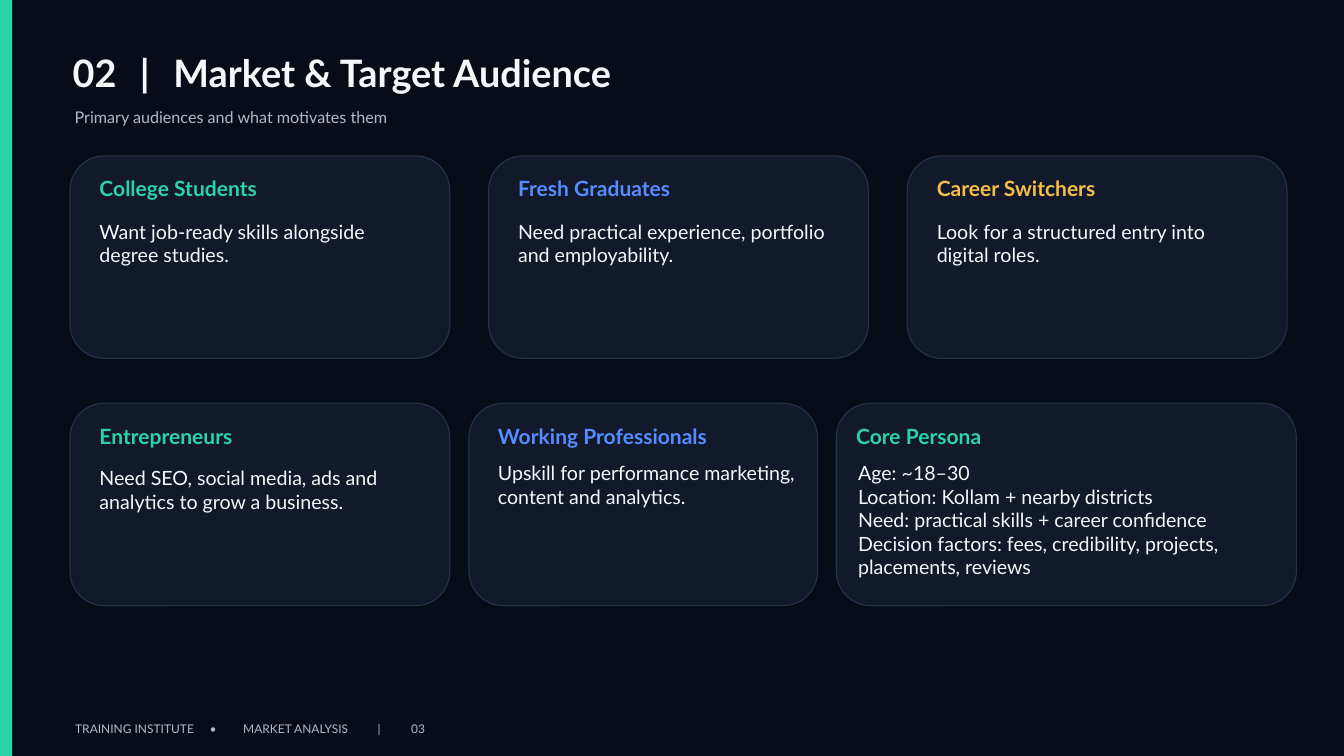
from lxml.etree import SubElement as Sub
from pptx import Presentation as Deck
from pptx.dml.color import RGBColor
from pptx.enum.shapes import MSO_SHAPE as Kind
from pptx.enum.text import MSO_ANCHOR as Anchor, MSO_AUTO_SIZE as Fit, PP_ALIGN as Align
from pptx.oxml.ns import qn
from pptx.util import Pt

DARK, PANEL, EDGE = "080C18", "12192A", "26324C"
GREEN, BLUE, GOLD = "2AD3A8", "558CFF", "F5BE48"
WHITE, GREY = "F5F7FA", "AFB9C8"
HIGH = 217  # card height

# Card: left, top, width, text left, body top, accent, heading, lines
TOP, LOW = 167, 432
CARDS = [
    (75, TOP, 407, 106.6, 235.4, GREEN, "College Students",
     ["Want job-ready skills alongside degree studies."]),
    (523.5, TOP, 407, 555.1, 235.4, BLUE, "Fresh Graduates",
     ["Need practical experience, portfolio and employability."]),
    (972, TOP, 407, 1003.7, 235.4, GOLD, "Career Switchers",
     ["Look for a structured entry into digital roles."]),
    (75, LOW, 407, 106.6, 499.7, GREEN, "Entrepreneurs",
     ["Need SEO, social media, ads and analytics to grow a business."]),
    (502.5, LOW, 373.5, 533.5, 493.9, BLUE, "Working Professionals",
     ["Upskill for performance marketing, content and analytics."]),
]
CORE = ["Age: ~18–30", "Location: Kollam + nearby districts",
        "Need: practical skills + career confidence",
        "Decision factors: fees, credibility, projects, placements, reviews"]


def color(code):
    return RGBColor.from_string(code)


def place(item, left, top, width, height):
    item.left, item.top = Pt(left), Pt(top)
    item.width, item.height = Pt(width), Pt(height)


def write(item, lines, size, tint, bold=False, tabs=()):
    """Fill a text box or placeholder with plain left-aligned lines."""
    frame = item.text_frame
    frame.word_wrap, frame.auto_size = True, Fit.NONE
    frame.vertical_anchor = Anchor.TOP
    frame.margin_left = frame.margin_top = 0
    frame.margin_right = frame.margin_bottom = 0
    frame.text = "\n".join(lines)
    for para in frame.paragraphs:
        para.alignment = Align.LEFT
        para.space_before = para.space_after = Pt(0)
        para.line_spacing = Pt(round(size * 1.2, 1))
        props = para._p.get_or_add_pPr()
        props.set("marL", "0")
        props.set("indent", "0")
        Sub(props, qn("a:buNone"))
        if tabs:
            stops = Sub(props, qn("a:tabLst"))
            for stop in tabs:
                Sub(stops, qn("a:tab"), pos=str(Pt(stop)), algn="l")
        font = para.font
        font.name, font.size, font.bold = "Lato", Pt(size), bold
        font.color.rgb = color(tint)


def label(slide, left, top, width, height, lines, *style, **more):
    box = slide.shapes.add_textbox(Pt(left), Pt(top), Pt(width), Pt(height))
    write(box, lines, *style, **more)


def block(slide, kind, left, top, width, height, fill):
    item = slide.shapes.add_shape(kind, Pt(left), Pt(top), Pt(width), Pt(height))
    item.shadow.inherit = False
    item.fill.solid()
    item.fill.fore_color.rgb = color(fill)
    item.line.fill.background()
    return item


def panel(slide, left, top, width):
    item = block(slide, Kind.ROUNDED_RECTANGLE, left, top, width, HIGH, PANEL)
    item.adjustments[0] = 0.17
    item.line.color.rgb = color(EDGE)
    item.line.width = Pt(1.13)


def card(slide, left, top, width, inner, body, tint, head, lines):
    panel(slide, left, top, width)
    label(slide, inner, top + 21.3, 343.5, 31, [head], 22.5, tint, True)
    label(slide, inner, body, 343.5, 132, lines, 21, WHITE)


def core(slide):
    """Persona card, its list held by the body placeholder."""
    panel(slide, 896, LOW, 493)
    label(slide, 917.3, LOW + 21.3, 430, 31, ["Core Persona"], 22.5, GREEN, True)
    body = slide.placeholders[1]
    place(body, 919.4, 493.9, 430, 132)
    write(body, CORE, 21, WHITE)
    body.element.getparent().append(body.element)  # in front of its panel


def main():
    deck = Deck()
    deck.slide_width, deck.slide_height = Pt(1440), Pt(810)
    slide = deck.slides.add_slide(deck.slide_layouts[1])
    slide.background.fill.solid()
    slide.background.fill.fore_color.rgb = color(DARK)

    # Side bar and heading
    block(slide, Kind.RECTANGLE, 0, 0, 13, 810, GREEN)
    title = slide.shapes.title
    place(title, 77.8, 53.3, 1271.5, 52)
    write(title, ["02\t|\tMarket & Target Audience"], 40.5, WHITE, True,
          tabs=(62.5, 94))
    label(slide, 80, 115.2, 1250, 36,
          ["Primary audiences and what motivates them"], 17.3, GREY)

    # Audience cards
    for row in CARDS:
        card(slide, *row)
    core(slide)

    # Footer
    label(slide, 80.6, 772.6, 1271.5, 15,
          ["TRAINING INSTITUTE\t•\tMARKET ANALYSIS\t|\t03"], 12.8, GREY,
          tabs=(138.2, 151.8, 269.6, 280))
    deck.save("out.pptx")


if __name__ == "__main__":
    main()
